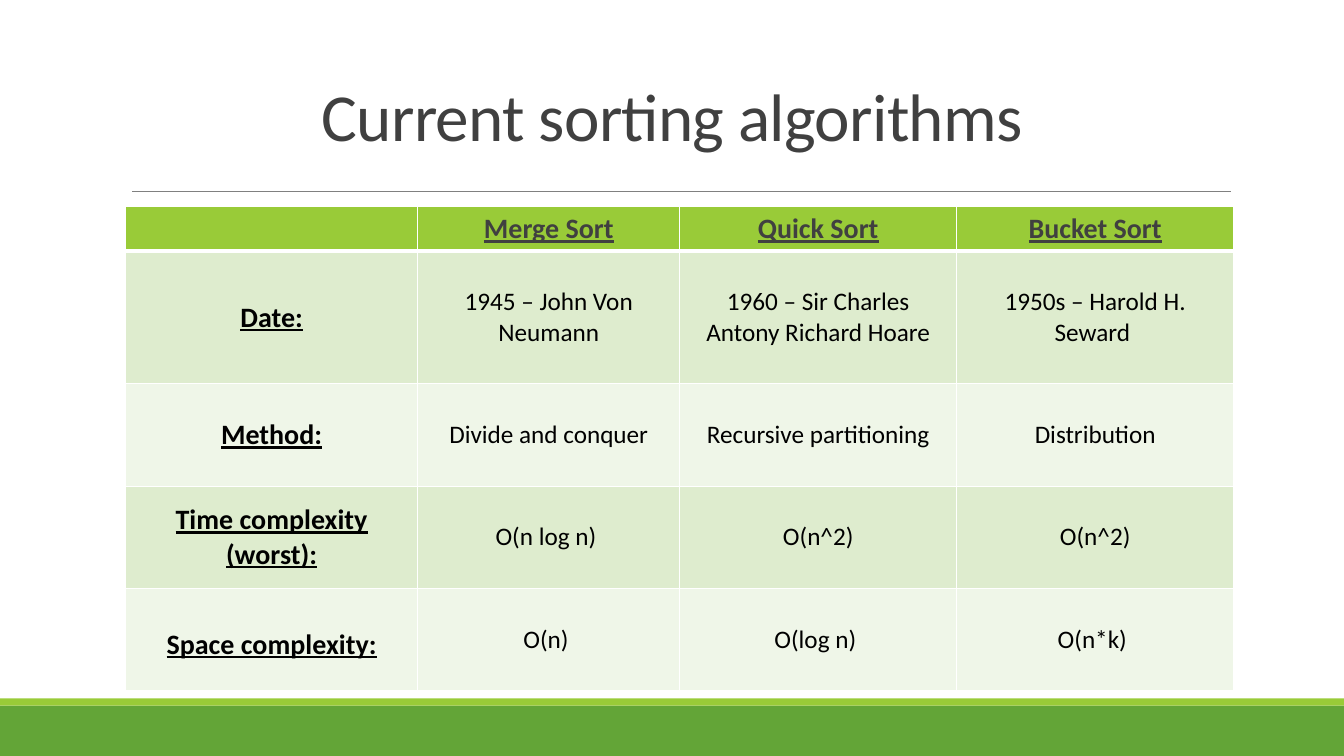
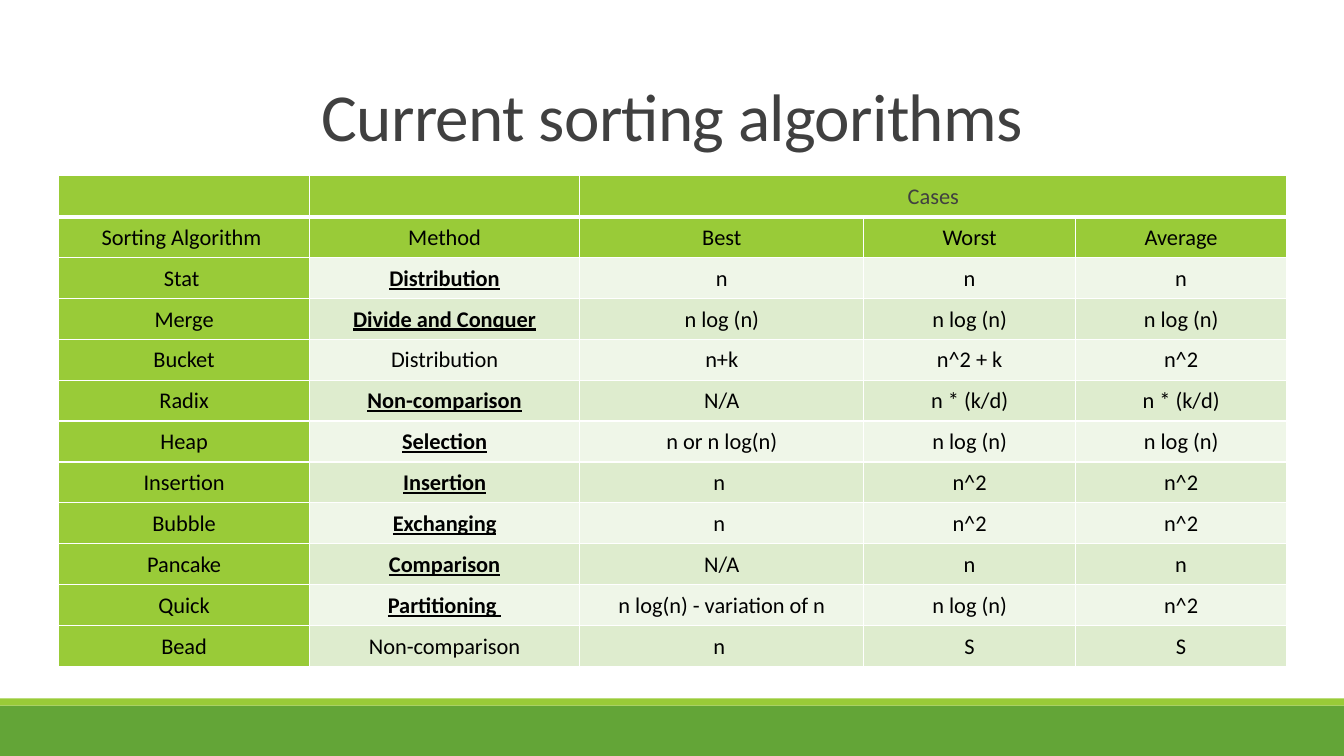
"""Build two slides that compare sorting algorithms in tables."""
from dataclasses import dataclass

from lxml.etree import SubElement
from pptx import Presentation
from pptx.dml.color import RGBColor as Rgb
from pptx.enum.shapes import MSO_CONNECTOR as Connector, MSO_SHAPE as Preset
from pptx.enum.text import MSO_ANCHOR as Anchor, MSO_AUTO_SIZE as AutoSize, PP_ALIGN as Align
from pptx.oxml.ns import qn
from pptx.util import Cm, Pt


@dataclass(frozen=True)
class Theme:
    font: str = "Calibri"
    green: Rgb = Rgb(0x63, 0xA5, 0x37)
    lime: Rgb = Rgb(0x99, 0xCB, 0x38)
    band_dark: Rgb = Rgb(0xDE, 0xEC, 0xCE)
    band_light: Rgb = Rgb(0xEF, 0xF6, 0xE8)
    heading: Rgb = Rgb(0x40, 0x40, 0x40)
    body: Rgb = Rgb(0, 0, 0)
    rule: Rgb = Rgb(0x80, 0x80, 0x80)
    border: str = "FFFFFF"
    title_size: Pt = Pt(48)
    label_size: Pt = Pt(20)
    value_size: Pt = Pt(18)
    dense_size: Pt = Pt(16)


def set_format(target, values):
    for attribute, value in values.items():
        setattr(target, attribute, value)


def set_border(cell, side, points):
    line = SubElement(cell._tc.get_or_add_tcPr(), qn(f"a:ln{side}"), w=str(Pt(points)))
    SubElement(SubElement(line, qn("a:solidFill")), qn("a:srgbClr"), val=theme.border)


theme = Theme()

overview_rows = [
    ["", "Merge Sort", "Quick Sort", "Bucket Sort"],
    ["Date:", "1945 – John Von Neumann", "1960 – Sir Charles Antony Richard Hoare",
     "1950s – Harold H. Seward "],
    ["Method:", "Divide and conquer", "Recursive partitioning", "Distribution"],
    ["Time complexity (worst):", "O(n log n) ", "O(n^2)", "O(n^2)"],
    ["Space complexity:", "O(n) ", "O(log n) ", "O(n*k) "],
]
case_rows = [
    ["", "", "Cases", "", ""],
    ["Sorting Algorithm ", "Method", "Best", "Worst", "Average"],
    ["Stat ", "Distribution", "n", "n", "n"],
    ["Merge", "Divide and Conquer", "n log (n)", "n log (n)", "n log (n)"],
    ["Bucket", "Distribution", "n+k", "n^2 + k", "n^2"],
    ["Radix", "Non-comparison", "N/A", "n * (k/d)", "n * (k/d)"],
    ["Heap", "Selection", "n or n log(n)", "n log (n)", "n log (n)"],
    ["Insertion", "Insertion", "n ", "n^2", "n^2"],
    ["Bubble", "Exchanging", "n ", "n^2", "n^2"],
    ["Pancake", "Comparison", "N/A", "n", "n"],
    ["Quick", "Partitioning ", "n log(n) - variation of n", "n log (n)", "n^2"],
    ["Bead", "Non-comparison", "n ", "S", "S"],
]
plain_methods = {"Bucket", "Bead"}
comparisons = [
    {
        "rows": overview_rows,
        "origin": (3.16, 5.21),
        "widths": [7.37, 6.6, 6.98, 6.98],
        "heights": [1.12, 3.34] + [2.58] * 3,
        "sizes": (theme.value_size, theme.label_size),
        "margins": {},
        "strong": {(r, c) for r in range(5) for c in range(4) if r == 0 or c == 0},
        "lime": set(),
    },
    {
        "rows": case_rows,
        "origin": (1.48, 4.43),
        "widths": [6.32, 6.81, 7.16, 5.33, 5.33],
        "heights": [1.03] * len(case_rows),
        "sizes": (theme.dense_size, theme.dense_size),
        "margins": {"margin_left": Cm(0.03), "margin_right": Cm(0.03),
                    "margin_top": Cm(0.03), "margin_bottom": 0},
        "strong": {(r, 1) for r, row in enumerate(case_rows)
                   if r > 1 and row[0] not in plain_methods},
        "lime": {(r, c) for r in range(len(case_rows)) for c in range(5) if r == 1 or c == 0},
    },
]

deck = Presentation()
set_format(deck, {"slide_width": Cm(33.87), "slide_height": Cm(19.05)})
tables = []

for comparison in comparisons:
    slide = deck.slides.add_slide(deck.slide_layouts[5])

    for top, height, colour in [(17.78, 1.27, theme.green), (17.6, 0.18, theme.lime)]:
        band = slide.shapes.add_shape(Preset.RECTANGLE, 0, Cm(top), deck.slide_width, Cm(height))
        band.shadow.inherit = False
        band.fill.solid()
        band.fill.fore_color.rgb = colour
        band.line.fill.background()

    rule = slide.shapes.add_connector(Connector.STRAIGHT, Cm(3.33), Cm(4.83), Cm(31.01), Cm(4.83))
    rule.line.color.rgb = theme.rule
    rule.line.width = Pt(0.5)
    SubElement(rule._element.spPr, qn("a:effectLst"))

    title = slide.shapes.title
    set_format(title, {"left": Cm(2.97), "top": 0, "width": Cm(27.94), "height": Cm(4.04)})
    title.text = "Current sorting algorithms"
    set_format(title.text_frame, {"vertical_anchor": Anchor.BOTTOM, "word_wrap": True,
                                  "auto_size": AutoSize.NONE})
    heading = title.text_frame.paragraphs[0]
    set_format(heading, {"alignment": Align.CENTER, "line_spacing": 0.85})
    heading_run = heading.runs[0]
    set_format(heading_run.font, {"name": theme.font, "size": theme.title_size})
    heading_run.font.color.rgb = theme.heading
    heading_run._r.get_or_add_rPr().set("spc", "-50")

    rows, widths, heights = (comparison[key] for key in ("rows", "widths", "heights"))
    left, top = comparison["origin"]
    table = slide.shapes.add_table(len(rows), len(widths), Cm(left), Cm(top),
                                   Cm(sum(widths)), Cm(sum(heights))).table
    set_format(table, {"first_row": False, "horz_banding": False})
    for column, width in zip(table.columns, widths):
        column.width = Cm(width)
    for row, height in zip(table.rows, heights):
        row.height = Cm(height)

    for r, row in enumerate(rows):
        for c, text in enumerate(row):
            cell = table.cell(r, c)
            set_format(cell, {"vertical_anchor": Anchor.MIDDLE, **comparison["margins"]})
            for side, points in [("L", 1), ("R", 1), ("T", 3 if r == 1 else 1),
                                 ("B", 3 if r == 0 else 1)]:
                set_border(cell, side, points)
            cell.fill.solid()
            if r == 0 or (r, c) in comparison["lime"]:
                cell.fill.fore_color.rgb = theme.lime
            else:
                cell.fill.fore_color.rgb = theme.band_dark if r % 2 else theme.band_light
            if not text:
                continue
            strong = (r, c) in comparison["strong"]
            paragraph = cell.text_frame.paragraphs[0]
            paragraph.alignment = Align.CENTER
            run = paragraph.add_run()
            run.text = text
            set_format(run.font, {"name": theme.font, "size": comparison["sizes"][strong],
                                  "bold": strong, "underline": strong})
            run.font.color.rgb = theme.body if r else theme.heading
    tables.append(table)

overview, cases = tables
overview.cell(4, 0).margin_top = Cm(0.38)
cases.cell(0, 2).merge(cases.cell(0, 4))

deck.save("out.pptx")
